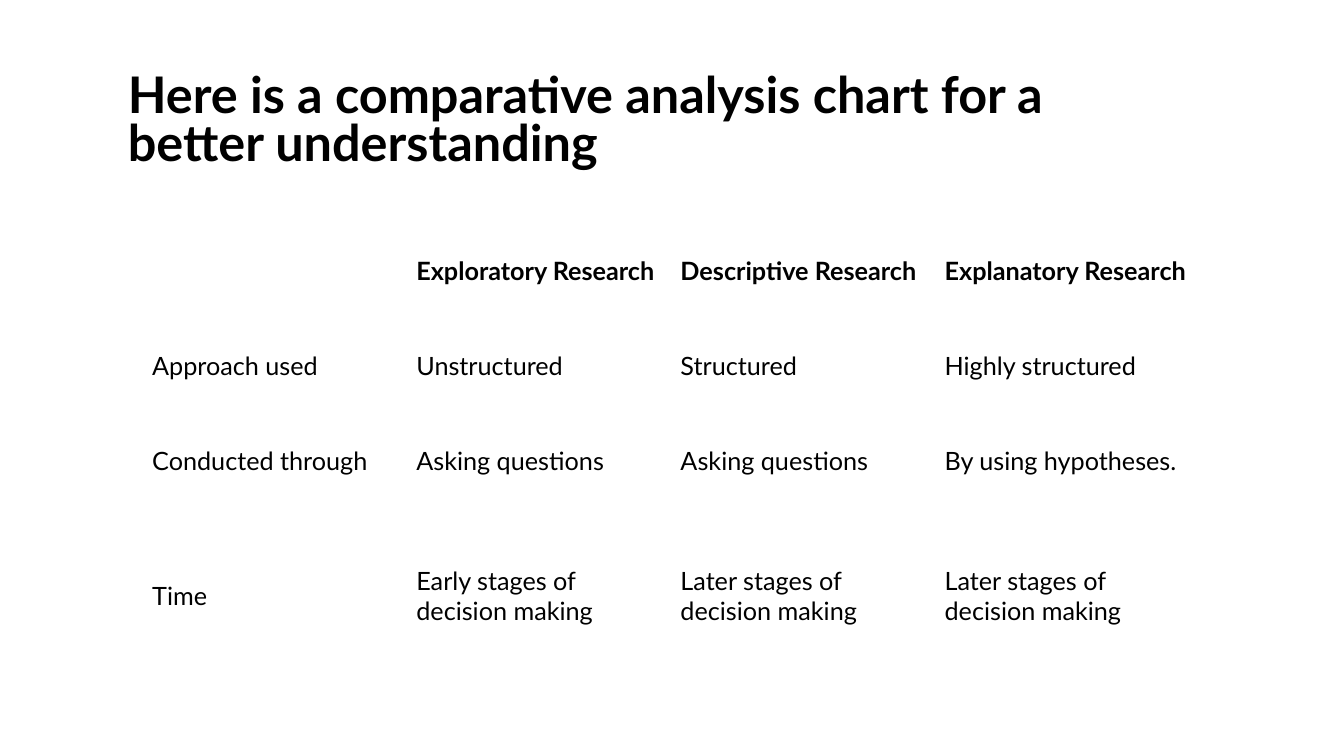
"""Build a slide comparing three kinds of research in a table."""
from pptx import Presentation
from pptx.dml.color import RGBColor
from pptx.enum import text
from pptx.util import Inches, Pt


def style(paragraph, size, bold, color="000000"):
    for run in paragraph.runs:
        run.font.name = "Lato"
        run.font.size = Pt(size)
        run.font.bold = bold
        run.font.color.rgb = RGBColor.from_string(color)


deck = Presentation()
deck.slide_width, deck.slide_height = Inches(13.33), Inches(7.5)
slide = deck.slides.add_slide(deck.slide_layouts[6])

heading = slide.shapes.add_textbox(Inches(1.17), Inches(0.58), Inches(9.5), Inches(1.17)).text_frame
heading.word_wrap = True
heading.vertical_anchor = text.MSO_ANCHOR.BOTTOM
heading.text = "Here is a comparative analysis chart for a better understanding"
heading.paragraphs[0].line_spacing = 0.8
style(heading.paragraphs[0], 36, True)

research = [
    ["", "Exploratory Research", "Descriptive Research", "Explanatory Research"],
    ["Approach used", "Unstructured", "Structured", "Highly structured"],
    ["Conducted through", "Asking questions", "Asking questions", "By using hypotheses."],
    ["Time", "Early stages of decision making", "Later stages of decision making",
     "Later stages of decision making"],
]
row_heights = [0.94, 0.94, 0.94, 1.74]

comparison = slide.shapes.add_table(
    len(research), len(research[0]), Inches(1.41), Inches(2.22), Inches(10.47), Inches(4.56)).table
comparison.horz_banding = False
for column in comparison.columns:
    column.width = Inches(2.62)

for r, (height, entries) in enumerate(zip(row_heights, research)):
    comparison.rows[r].height = Inches(height)
    for c, entry in enumerate(entries):
        cell = comparison.cell(r, c)
        cell.fill.solid()
        cell.fill.fore_color.rgb = RGBColor.from_string("FFFFFF")
        cell.vertical_anchor = text.MSO_ANCHOR.MIDDLE
        if entry:
            cell.text_frame.text = entry
            style(cell.text_frame.paragraphs[0], 18, r == 0)

deck.save("out.pptx")
